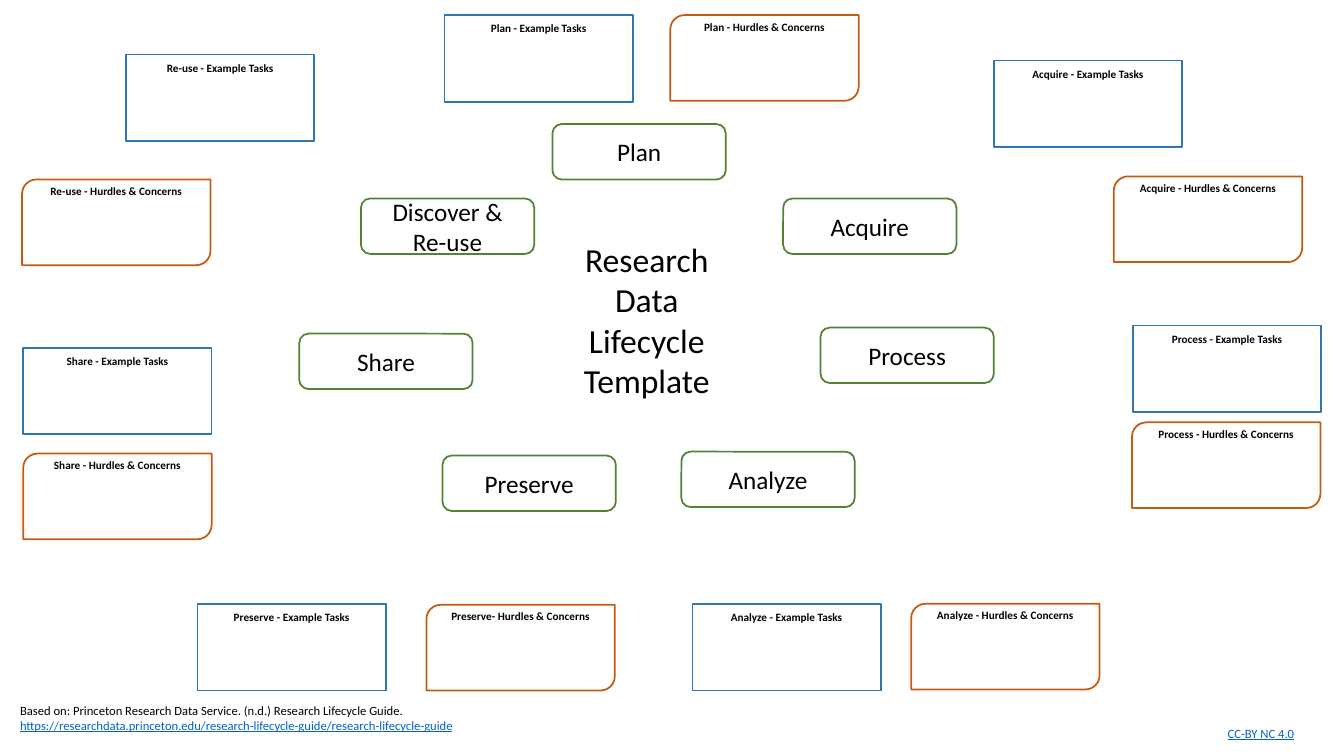
"""Build the research data lifecycle template slide."""
import dataclasses
import typing

import pptx
import pptx.dml.color
import pptx.enum.shapes
import pptx.enum.text
import pptx.util

Pt = pptx.util.Pt
RGB = pptx.dml.color.RGBColor
Shape = pptx.enum.shapes.MSO_SHAPE
Anchor = pptx.enum.text.MSO_ANCHOR
Align = pptx.enum.text.PP_ALIGN


@dataclasses.dataclass(frozen=True)
class Theme:
    font: str = "Calibri"
    text: RGB = RGB(0x00, 0x00, 0x00)
    link: RGB = RGB(0x05, 0x63, 0xC1)
    stage: RGB = RGB(0x54, 0x82, 0x35)
    hurdle: RGB = RGB(0xC5, 0x5A, 0x11)
    task: RGB = RGB(0x2E, 0x75, 0xB6)
    title_size: float = 24
    stage_size: float = 18
    label_size: float = 8
    footer_size: float = 9
    outline: float = 1.25


@dataclasses.dataclass(frozen=True)
class CardStyle:
    shape: Shape
    line: RGB
    width: float
    height: float
    text_size: float
    bold: bool
    anchor: Anchor
    side_inset: float
    top_inset: float


class Card(typing.NamedTuple):
    text: str
    left: float
    top: float


THEME = Theme()
STAGE = CardStyle(Shape.ROUNDED_RECTANGLE, THEME.stage, 123.8, 39.6,
                  THEME.stage_size, False, Anchor.MIDDLE, 14, 0)
HURDLE = CardStyle(Shape.ROUND_2_DIAG_RECTANGLE, THEME.hurdle, 134.6, 61.2,
                   THEME.label_size, True, Anchor.TOP, 4, 0.6)
TASK = CardStyle(Shape.RECTANGLE, THEME.task, 134.6, 61.9,
                 THEME.label_size, True, Anchor.TOP, 4, 4.7)

CARDS = {
    STAGE: [
        Card("Plan", 394.6, 88.6),
        Card("Acquire", 559.4, 141.8),
        Card("Process", 586.1, 234),
        Card("Analyze", 486.7, 322.6),
        Card("Preserve", 316.1, 325.4),
        Card("Share", 213.8, 238.3),
        Card("Discover & Re-use", 257.8, 141.8),
    ],
    HURDLE: [
        Card("Plan - Hurdles & Concerns", 478.8, 10.8),
        Card("Acquire - Hurdles & Concerns", 795.6, 126),
        Card("Process - Hurdles & Concerns", 808.6, 301.7),
        Card("Analyze - Hurdles & Concerns", 650.9, 431.3),
        Card("Preserve- Hurdles & Concerns", 304.6, 432),
        Card("Share - Hurdles & Concerns", 16.6, 324),
        Card("Re-use - Hurdles & Concerns", 15.8, 128.2),
    ],
    TASK: [
        Card("Plan - Example Tasks", 317.5, 10.8),
        Card("Acquire - Example Tasks", 709.9, 43.2),
        Card("Process - Example Tasks", 809.3, 232.6),
        Card("Analyze - Example Tasks", 494.6, 431.3),
        Card("Preserve - Example Tasks", 141.1, 431.3),
        Card("Share - Example Tasks", 16.6, 248.4),
        Card("Re-use - Example Tasks", 90, 38.9),
    ],
}


def format_span(span, size: float, color: RGB = THEME.text,
                bold: bool = False, underline: bool = False) -> None:
    span.font.name = THEME.font
    span.font.size = Pt(size)
    span.font.color.rgb = color
    span.font.bold = bold
    span.font.underline = underline


def draw_card(page, card: Card, style: CardStyle) -> None:
    box = page.shapes.add_shape(style.shape, Pt(card.left), Pt(card.top),
                                Pt(style.width), Pt(style.height))
    box.shadow.inherit = False
    box.fill.background()
    box.line.color.rgb = style.line
    box.line.width = Pt(THEME.outline)
    frame = box.text_frame
    frame.word_wrap = True
    frame.vertical_anchor = style.anchor
    frame.margin_left = frame.margin_right = Pt(style.side_inset)
    frame.margin_top = Pt(style.top_inset)
    frame.margin_bottom = 0
    frame.text = card.text
    para = frame.paragraphs[0]
    para.alignment = Align.CENTER
    format_span(para.runs[0], style.text_size, bold=style.bold)


def place_title(page, text: str) -> None:
    title = page.shapes.title
    title.left, title.top = Pt(389.5), Pt(167)
    title.width, title.height = Pt(145), Pt(123.8)
    frame = title.text_frame
    frame.word_wrap = True
    frame.auto_size = pptx.enum.text.MSO_AUTO_SIZE.NONE
    frame.vertical_anchor = Anchor.TOP
    frame.text = text
    para = frame.paragraphs[0]
    para.alignment = Align.CENTER
    para.line_spacing = 1.0
    para.space_before = Pt(0)
    format_span(para.runs[0], THEME.title_size)


def add_footer(page, left: float, top: float, width: float, height: float,
               link: str, lead: str = "") -> None:
    box = page.shapes.add_textbox(Pt(left), Pt(top), Pt(width), Pt(height))
    box.text_frame.word_wrap = True
    para = box.text_frame.paragraphs[0]
    if lead:
        span = para.add_run()
        span.text = lead
        format_span(span, THEME.footer_size)
        para.add_line_break()
    span = para.add_run()
    span.text = link
    format_span(span, THEME.footer_size, THEME.link, underline=True)


def main() -> None:
    deck = pptx.Presentation()
    deck.slide_width, deck.slide_height = Pt(960), Pt(540)
    page = deck.slides.add_slide(deck.slide_layouts.get_by_name("Title Only"))
    place_title(page, "Research Data Lifecycle Template")
    for style, cards in CARDS.items():
        for card in cards:
            draw_card(page, card, style)
    add_footer(
        page, 7.2, 498.2, 411.1, 28.8,
        "https://researchdata.princeton.edu/research-lifecycle-guide/research-lifecycle-guide",
        "Based on: Princeton Research Data Service. (n.d.) Research Lifecycle Guide.")
    add_footer(page, 869.8, 514.8, 67.7, 18, "CC-BY NC 4.0")
    deck.save("out.pptx")


if __name__ == "__main__":
    main()
